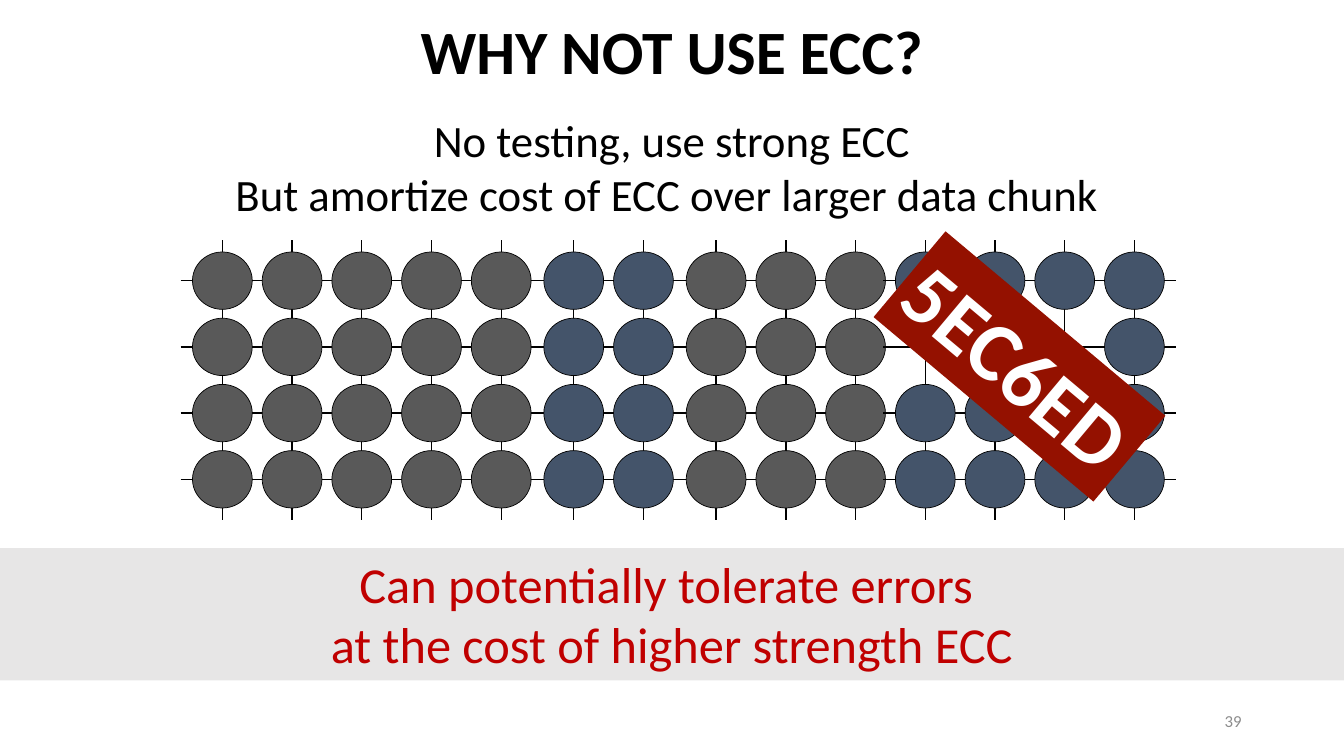
from dataclasses import dataclass

from lxml import etree
from pptx import Presentation
from pptx.dml.color import RGBColor
from pptx.enum import shapes, text
from pptx.oxml.ns import qn
from pptx.util import Pt


@dataclass(frozen=True)
class Theme:
    font: str = "Calibri"
    black: str = "000000"
    data: str = "595959"
    ecc: str = "44546A"
    band: str = "E7E6E6"
    red: str = "C00000"
    tag: str = "941100"
    white: str = "FFFFFF"
    grey: str = "8C8C8C"
    title_size: int = 44
    lead_size: int = 32
    band_size: int = 36
    tag_size: int = 60
    number_size: int = 12


@dataclass(frozen=True)
class Block:
    """Group of memory cells; missing cells are (row, column) pairs."""
    left: float
    cols: int
    color: str
    no_cells: tuple = ()


THEME = Theme()
SLIDE_W, SLIDE_H = 960, 540
ROWS = 4
GRID_TOP = 180
CELL_W, CELL_H = 42.7, 41
COL_STEP, ROW_STEP = 49.8, 47.3
WIRE_OVERHANG = 8.5

BLOCKS = [
    Block(490.2, 3, THEME.data),
    Block(137.5, 5, THEME.data),
    Block(388.5, 2, THEME.ecc),
    Block(639.6, 4, THEME.ecc, no_cells=((1, 0), (1, 1), (1, 2), (2, 2))),
]


def rgb(color):
    return RGBColor.from_string(color)


def write(sp, lines, size, color, align=text.PP_ALIGN.CENTER, bold=False,
          anchor=text.MSO_ANCHOR.TOP, wrap=True):
    tf = sp.text_frame
    tf.word_wrap = wrap
    tf.vertical_anchor = anchor
    tf.text = "\n".join(lines)
    for p in tf.paragraphs:
        p.alignment = align
        p.font.name = THEME.font
        p.font.size = Pt(size)
        p.font.bold = bold
        p.font.color.rgb = rgb(color)


def add_filled(parent, kind, box, color, outline=None):
    sp = parent.add_shape(kind, *map(Pt, box))
    sp.shadow.inherit = False
    sp.fill.solid()
    sp.fill.fore_color.rgb = rgb(color)
    if outline:
        sp.line.color.rgb = rgb(outline)
        sp.line.width = Pt(0.5)
    else:
        sp.line.fill.background()
    return sp


def add_wire(parent, x1, y1, x2, y2):
    wire = parent.add_connector(shapes.MSO_CONNECTOR.STRAIGHT,
                                Pt(x1), Pt(y1), Pt(x2), Pt(y2))
    wire.line.color.rgb = rgb(THEME.black)
    wire.line.width = Pt(1)
    etree.SubElement(wire._element.spPr, qn("a:effectLst"))


def add_block(slide, block):
    group = slide.shapes.add_group_shape().shapes
    xs = [block.left + i * COL_STEP for i in range(block.cols)]
    ys = [GRID_TOP + i * ROW_STEP for i in range(ROWS)]
    for x in xs:
        mid = x + CELL_W / 2
        add_wire(group, mid, ys[0] - WIRE_OVERHANG,
                 mid, ys[-1] + CELL_H + WIRE_OVERHANG)
    for y in ys:
        mid = y + CELL_H / 2
        add_wire(group, xs[0] - WIRE_OVERHANG, mid,
                 xs[-1] + CELL_W + WIRE_OVERHANG, mid)
    for row, y in enumerate(ys):
        for col, x in enumerate(xs):
            if (row, col) not in block.no_cells:
                add_filled(group, shapes.MSO_SHAPE.OVAL,
                           (x, y, CELL_W, CELL_H), block.color, THEME.black)


def add_title(slide, title):
    sp = slide.shapes.title
    sp.left, sp.top, sp.width, sp.height = Pt(0), Pt(0), Pt(SLIDE_W), Pt(78)
    write(sp, [title], THEME.title_size, THEME.black, bold=True,
          anchor=text.MSO_ANCHOR.MIDDLE)
    sp.text_frame.paragraphs[0].line_spacing = 0.9


def add_text(slide, box, lines, size, color, **style):
    write(slide.shapes.add_textbox(*map(Pt, box)), lines, size, color, **style)


def add_panel(slide, box, color, lines, size, font_color, rotation=0, **style):
    sp = add_filled(slide.shapes, shapes.MSO_SHAPE.RECTANGLE, box, color)
    sp.rotation = rotation
    write(sp, lines, size, font_color, **style)


def main():
    prs = Presentation()
    prs.slide_width, prs.slide_height = Pt(SLIDE_W), Pt(SLIDE_H)
    slide = prs.slides.add_slide(prs.slide_layouts.get_by_name("Title Only"))

    add_title(slide, "WHY NOT USE ECC?")
    for block in BLOCKS:
        add_block(slide, block)
    add_text(slide, (0, 77, SLIDE_W, 85),
             ["No testing, use strong ECC",
              "But amortize cost of ECC over larger data chunk "],
             THEME.lead_size, THEME.black)
    add_panel(slide, (0, 391.5, SLIDE_W, 94.5), THEME.band,
              ["Can potentially tolerate errors ",
               "at the cost of higher strength ECC"],
              THEME.band_size, THEME.red)
    add_panel(slide, (625.7, 221.8, 205, 80), THEME.tag, ["5EC6ED"],
              THEME.tag_size, THEME.white, rotation=40, bold=True,
              align=text.PP_ALIGN.LEFT, wrap=False)
    add_text(slide, (678, 500.5, 216, 28.8), ["39"],
             THEME.number_size, THEME.grey, align=text.PP_ALIGN.RIGHT,
             anchor=text.MSO_ANCHOR.MIDDLE)
    prs.save("out.pptx")


if __name__ == "__main__":
    main()
